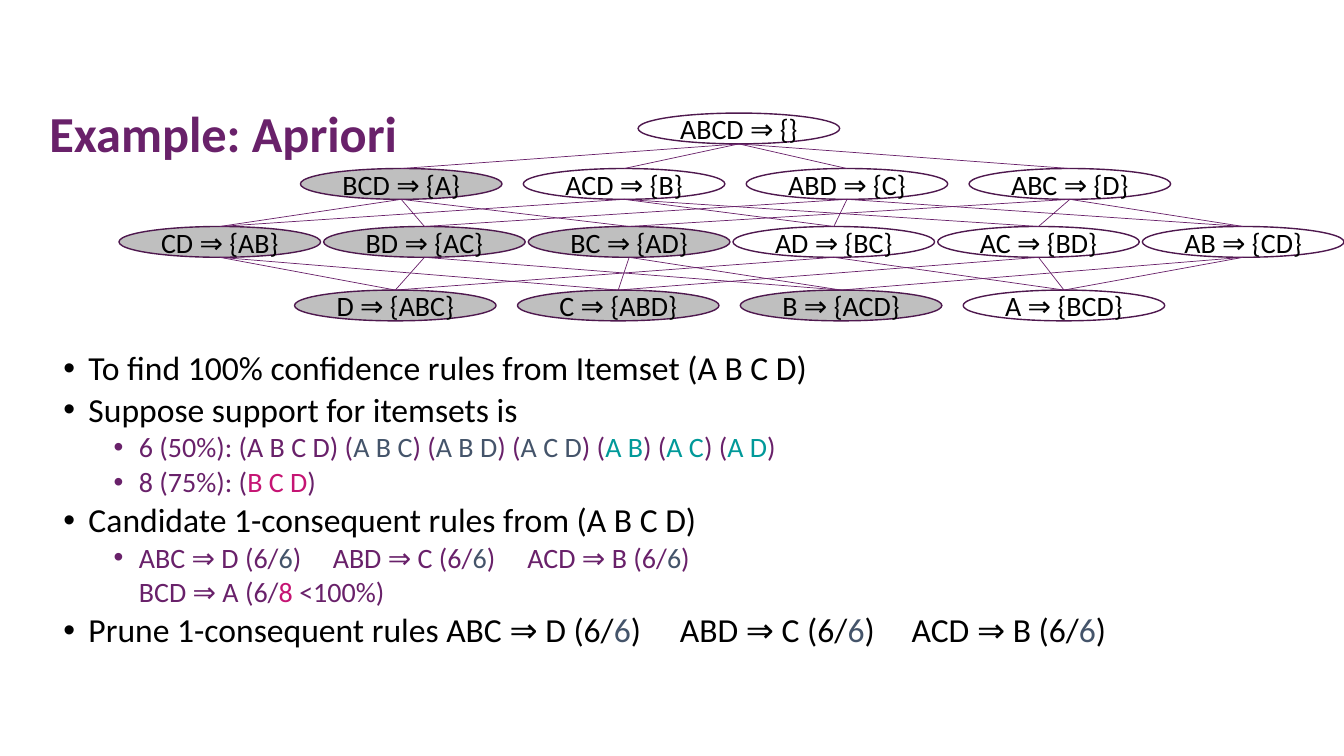
from dataclasses import dataclass
from itertools import combinations

from lxml import etree
from pptx import Presentation
from pptx.dml.color import RGBColor
from pptx.enum.shapes import MSO_CONNECTOR, MSO_SHAPE
from pptx.enum.text import MSO_ANCHOR, MSO_AUTO_SIZE, PP_ALIGN
from pptx.oxml.ns import qn
from pptx.util import Pt

OVAL = MSO_SHAPE.OVAL
LINE = MSO_CONNECTOR.STRAIGHT
TOP, MIDDLE = MSO_ANCHOR.TOP, MSO_ANCHOR.MIDDLE
LEFT, CENTER = PP_ALIGN.LEFT, PP_ALIGN.CENTER
FIXED = MSO_AUTO_SIZE.NONE


@dataclass(frozen=True)
class Theme:
    font: str = "Calibri"
    title: int = 36
    body: int = 24
    small: int = 20
    black: str = "000000"
    plum: str = "69216A"
    edge: str = "4E184E"
    gray: str = "BFBFBF"
    slate: str = "44546A"
    teal: str = "009999"
    pink: str = "C51473"


THEME = Theme()
ITEMS = "ABCD"
PRUNED = set("BCD")
NODE_W, NODE_H = 144, 22
# Antecedent size, left of first node, top, step between nodes
ROWS = [
    (4, 455.8, 80.8, 0),
    (3, 214.6, 120.4, 159.2),
    (2, 85, 161.8, 146.2),
    (1, 210.4, 207.2, 159.2),
]
# Level, bullet shown, tab stops, text with |color:accent| parts
POINTS = [
    (0, True, (), "To find 100% confidence rules from Itemset (A B C D)"),
    (0, True, (), "Suppose support for itemsets is"),
    (1, True, (), "6 (50%): (A B C D) (|slate:A B C|) (|slate:A B D|) (|slate:A C D|) "
                  "(|teal:A B|) (|teal:A C|) (|teal:A D|)"),
    (1, True, (), "8 (75%): (|pink:B C D|)"),
    (0, True, (), "Candidate 1-consequent rules from (A B C D)"),
    (1, True, (192.5, 331.5),
     "ABC ⇒ D (6/|slate:6|)\tABD ⇒ C (6/|slate:6|)\tACD ⇒ B (6/|slate:6|)"),
    (1, False, (), "BCD ⇒ A (6/|pink:8 |<100%)"),
    (0, True, (440.5, 606),
     "Prune 1-consequent rules ABC ⇒ D (6/|slate:6|)\tABD ⇒ C (6/|slate:6|)"
     "\tACD ⇒ B (6/|slate:6|)"),
]


def paint(name):
    return RGBColor.from_string(getattr(THEME, name))


def write(para, text, size=THEME.small, color="black", bold=False, align=LEFT):
    """Add text to a paragraph; |color:words| marks an accent."""
    para.alignment = align
    for i, part in enumerate(text.split("|")):
        accent, words = part.split(":", 1) if i % 2 else (color, part)
        run = para.add_run()
        run.text = words
        run.font.name = THEME.font
        run.font.size = Pt(size)
        run.font.bold = bold
        run.font.color.rgb = paint(accent)


def indent(para, left, bullet, tabs):
    """Set the left margin, the hanging bullet and the tab stops."""
    props = para._p.get_or_add_pPr()
    props.set("marL", str(Pt(left)))
    props.set("indent", str(Pt(-18 if bullet else 0)))
    if bullet:
        etree.SubElement(props, qn("a:buFont"), typeface="Arial")
        etree.SubElement(props, qn("a:buChar"), char="•")
    else:
        etree.SubElement(props, qn("a:buNone"))
    if tabs:
        stops = etree.SubElement(props, qn("a:tabLst"))
        for stop in tabs:
            etree.SubElement(stops, qn("a:tab"), pos=str(Pt(stop)), algn="l")


class Board:
    """Holds the theme and the slide being built."""

    def __init__(self, slide, theme):
        self.slide = slide
        self.theme = theme

    def place(self, holder, left, top, width, height):
        holder.left, holder.top = Pt(left), Pt(top)
        holder.width, holder.height = Pt(width), Pt(height)
        frame = holder.text_frame
        frame.word_wrap = True
        frame.auto_size = FIXED
        frame.vertical_anchor = TOP
        return frame

    def title(self, text, *box):
        para = self.place(self.slide.shapes.title, *box).paragraphs[0]
        para.line_spacing = 0.9
        write(para, text, size=self.theme.title, color="plum", bold=True)

    def points(self, items, *box):
        frame = self.place(self.slide.placeholders[1], *box)
        for i, (level, bullet, tabs, text) in enumerate(items):
            para = frame.add_paragraph() if i else frame.paragraphs[0]
            size = self.theme.small if level else self.theme.body
            para.level = level
            para.line_spacing = 0.9
            para.space_before = Pt(0.15 * size if i else 0)
            indent(para, 54 if level else 18, bullet, tabs)
            write(para, text, size=size, color="plum" if level else "black")

    def node(self, text, left, top, shaded):
        oval = self.slide.shapes.add_shape(
            OVAL, Pt(left), Pt(top), Pt(NODE_W), Pt(NODE_H))
        oval.shadow.inherit = False
        if shaded:
            oval.fill.solid()
            oval.fill.fore_color.rgb = paint("gray")
        else:
            oval.fill.background()
        oval.line.color.rgb = paint("edge")
        oval.line.width = Pt(1)
        frame = oval.text_frame
        frame.margin_left = frame.margin_right = 0
        frame.margin_top = frame.margin_bottom = 0
        frame.word_wrap = False
        frame.vertical_anchor = MIDDLE
        write(frame.paragraphs[0], text, align=CENTER)
        return oval

    def link(self, upper, lower):
        """Draw a line from the bottom of one node to the top of another."""
        line = self.slide.shapes.add_connector(
            LINE, upper.left + upper.width // 2, upper.top + upper.height,
            lower.left + lower.width // 2, lower.top)
        line.end_connect(lower, 0)
        line.line.color.rgb = paint("plum")
        line.line.width = Pt(0.5)
        etree.SubElement(line._element.spPr, qn("a:effectLst"))

    def lattice(self):
        """Draw every rule, then link each to those with one item less on its left."""
        nodes = {}
        for size, left, top, step in ROWS:
            for i, given in enumerate(reversed(list(combinations(ITEMS, size)))):
                rest = "".join(c for c in ITEMS if c not in given)
                text = f"{''.join(given)} ⇒ {{{rest}}}"
                nodes[given] = self.node(
                    text, left + i * step, top, set(given) <= PRUNED)
        for given, upper in nodes.items():
            for part in combinations(given, len(given) - 1):
                if part:
                    self.link(upper, nodes[part])


def main():
    deck = Presentation()
    deck.slide_width, deck.slide_height = Pt(960), Pt(540)
    board = Board(deck.slides.add_slide(deck.slide_layouts[1]), THEME)
    board.title("Example: Apriori", 28, 74, 828, 60)
    board.points(POINTS, 38, 247.7, 924, 380)
    board.lattice()
    deck.save("out.pptx")


if __name__ == "__main__":
    main()
